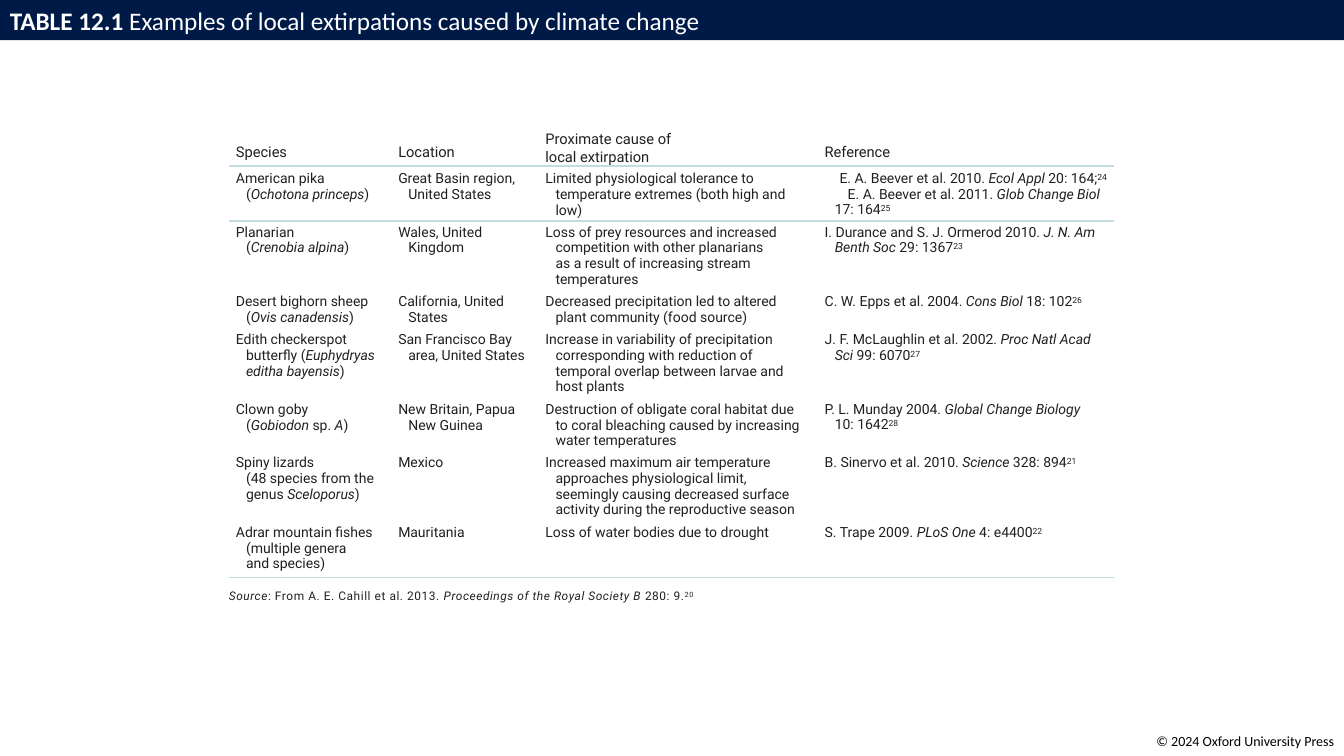
from lxml.etree import SubElement
from pptx import Presentation
from pptx.dml.color import RGBColor
from pptx.enum.shapes import MSO_SHAPE
from pptx.enum.text import MSO_ANCHOR as ANCHOR, PP_ALIGN as ALIGN
from pptx.oxml import parse_xml
from pptx.oxml.ns import nsdecls, qn
from pptx.util import Inches, Pt

COLORS = {"navy": "001A47", "ink": "231F20", "rule": "C2DCDF", "white": "FFFFFF", "black": "000000"}
WIDTH, HEIGHT = 13.33, 7.5
TABLE_LEFT, TABLE_TOP = 2.27, 1.25
COLUMNS = [1.61, 1.46, 2.77, 2.94]
ROWS = [0.4, 0.54, 0.69, 0.38, 0.69, 0.53, 0.69, 0.56]
RULED_ROWS = (0, 1, len(ROWS) - 1)
NO_TABLE_STYLE = "{2D5ABB26-0587-4C30-8999-92F81FD0307C}"

HEADERS = ["Species", "Location", "Proximate cause of|local extirpation", "Reference"]
BODY = [
    ["American pika|(*Ochotona princeps*)",
     "Great Basin region,|United States",
     "Limited physiological tolerance to|temperature extremes (both high and|low)",
     "E. A. Beever et al. 2010. *Ecol Appl *20: 164;^24^\n"
     "E. A. Beever et al. 2011. *Glob Change Biol*\n17: 164^25^"],
    ["Planarian|(*Crenobia alpina*)",
     "Wales, United|Kingdom",
     "Loss of prey resources and increased|competition with other planarians|"
     "as a result of increasing stream|temperatures",
     "I. Durance and S. J. Ormerod 2010. *J. N. Am|Benth Soc *29: 1367^23^"],
    ["Desert bighorn sheep|(*Ovis canadensis*)",
     "California, United|States",
     "Decreased precipitation led to altered|plant community (food source)",
     "C. W. Epps et al. 2004. *Cons Biol *18: 102^26^"],
    ["Edith checkerspot|butterfly (*Euphydryas|editha bayensis*)",
     "San Francisco Bay|area, United States",
     "Increase in variability of precipitation|corresponding with reduction of|"
     "temporal overlap between larvae and|host plants",
     "J. F. McLaughlin et al. 2002. *Proc Natl Acad|Sci *99: 6070^27^"],
    ["Clown goby|(*Gobiodon *sp. *A*)",
     "New Britain, Papua|New Guinea",
     "Destruction of obligate coral habitat due|to coral bleaching caused by increasing|water temperatures",
     "P. L. Munday 2004. *Global Change Biology*\n10: 1642^28^"],
    ["Spiny lizards\n(48 species from the|genus *Sceloporus*)",
     "Mexico",
     "Increased maximum air temperature|approaches physiological limit,|"
     "seemingly causing decreased surface|activity during the reproductive season",
     "B. Sinervo et al. 2010. *Science *328: 894^21^"],
    ["Adrar mountain fishes|(multiple genera\nand species)",
     "Mauritania",
     "Loss of water bodies due to drought",
     "S. Trape 2009. *PLoS One *4: e4400^22^"],
]


def write(paragraph, text, size, color, name="Roboto", raised_size=10.5, spacing=0):
    for i, styled in enumerate(text.split("*")):
        for j, part in enumerate(styled.split("^")):
            for k, line in enumerate(part.split("|")):
                if k:
                    paragraph.add_line_break()
                if not line:
                    continue
                run = paragraph.add_run()
                run.text = line
                look = {"name": name, "size": Pt(raised_size if j % 2 else size), "italic": i % 2 == 1}
                for key, value in look.items():
                    setattr(run.font, key, value)
                run.font.color.rgb = RGBColor.from_string(COLORS[color])
                properties = run._r.get_or_add_rPr()
                if j % 2:
                    properties.set("baseline", "20000")
                if spacing:
                    properties.set("spc", str(round(spacing * 100)))


def set_frame(frame, **values):
    for key, value in values.items():
        setattr(frame, key, value)


presentation = Presentation()
presentation.slide_width, presentation.slide_height = Inches(WIDTH), Inches(HEIGHT)
slide = presentation.slides.add_slide(presentation.slide_layouts[6])

footer = slide.shapes.add_textbox(Inches(WIDTH - 2), Inches(7.22), Inches(2), Inches(0.27))
set_frame(footer.text_frame, word_wrap=False)
footer_line = footer.text_frame.paragraphs[0]
footer_line.alignment = ALIGN.RIGHT
write(footer_line, "© 2024 Oxford University Press", 10, "black", "Calibri")

table = slide.shapes.add_table(
    len(ROWS), len(COLUMNS), Inches(TABLE_LEFT), Inches(TABLE_TOP),
    Inches(sum(COLUMNS)), Inches(sum(ROWS))).table
table.first_row = table.horz_banding = False
table._tbl.tblPr.find(qn("a:tableStyleId")).text = NO_TABLE_STYLE
for column, width in zip(table.columns, COLUMNS):
    column.width = Inches(width)

for row_index, texts in enumerate([HEADERS] + BODY):
    table.rows[row_index].height = Inches(ROWS[row_index])
    is_header = row_index == 0
    for column_index, text in enumerate(texts):
        cell = table.cell(row_index, column_index)
        set_frame(cell, margin_left=0, margin_right=0,
                  margin_top=0 if is_header else Inches(0.05 if row_index == 1 else 0.04),
                  margin_bottom=Inches(0.05) if is_header and "|" not in text else 0,
                  vertical_anchor=ANCHOR.BOTTOM if is_header else ANCHOR.TOP)
        cell.fill.background()
        if row_index in RULED_ROWS:
            border = parse_xml(f'<a:lnB {nsdecls("a")} w="{Pt(1.5)}"/>')
            fill = SubElement(border, qn("a:solidFill"))
            SubElement(fill, qn("a:srgbClr")).set("val", COLORS["rule"])
            cell._tc.get_or_add_tcPr().insert(0, border)
        lines = text.split("\n")
        for index, line in enumerate(lines):
            frame = cell.text_frame
            paragraph = frame.add_paragraph() if index else frame.paragraphs[0]
            properties = paragraph._p.get_or_add_pPr()
            if len(lines) == 3 and index < 2:
                paragraph.alignment = ALIGN.RIGHT
                properties.set("marR", str(Inches(0.07 * (index + 1))))
            else:
                properties.set("marL", str(Inches(0.07 if is_header else 0.17)))
                properties.set("indent", str(0 if is_header or index else Inches(-0.1)))
            paragraph.line_spacing = Pt(13 if is_header else 11.2)
            write(paragraph, line, 10.5 if is_header else 10, "ink")

source = slide.shapes.add_textbox(Inches(TABLE_LEFT), Inches(5.81), Inches(4.78), Inches(0.17))
set_frame(source.text_frame, word_wrap=True, margin_left=0, margin_right=0,
          margin_top=Inches(0.02), margin_bottom=0)
write(source.text_frame.paragraphs[0],
      "*Source*: From A. E. Cahill et al. 2013. *Proceedings of the Royal Society B *280: 9.^20^",
      8.5, "ink", raised_size=9, spacing=0.4)

banner = slide.shapes.add_shape(MSO_SHAPE.RECTANGLE, 0, 0, Inches(WIDTH), Inches(0.4))
banner.shadow.inherit = False
banner.fill.solid()
banner.fill.fore_color.rgb = RGBColor.from_string(COLORS["navy"])
banner.line.fill.background()
set_frame(banner.text_frame, word_wrap=True, vertical_anchor=ANCHOR.MIDDLE)
title = banner.text_frame.paragraphs[0]
title.alignment = ALIGN.LEFT
for text in ("TABLE 12.1 ", "Examples of local extirpations caused by climate change"):
    write(title, text, 18, "white", "Calibri")
title.runs[0].font.bold = True

presentation.save("out.pptx")
